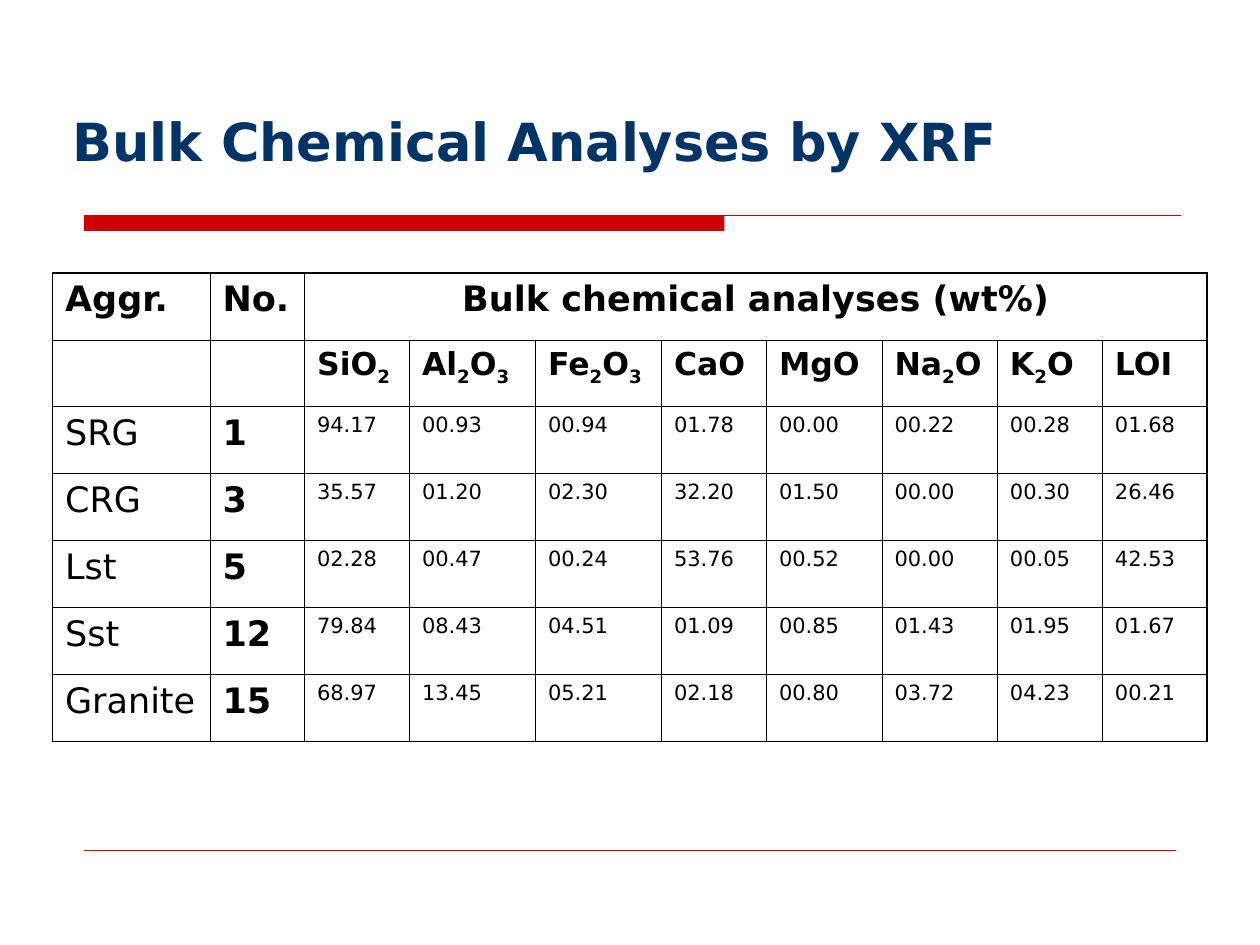
"""Build a slide with a table of bulk chemical analyses by XRF."""
from dataclasses import dataclass
from itertools import groupby

from lxml.etree import SubElement
from pptx import Presentation
from pptx.dml.color import RGBColor
from pptx.enum.shapes import MSO_CONNECTOR, MSO_SHAPE
from pptx.enum.text import MSO_ANCHOR, PP_ALIGN
from pptx.oxml.ns import qn
from pptx.util import Inches, Pt


@dataclass
class Theme:
    font: str = "DejaVu Sans"
    ink: str = "000000"
    navy: str = "003366"
    red: str = "CC0000"
    title: int = 30
    label: int = 20
    oxide: int = 18
    value: int = 12
    thin: float = 0.45
    thick: float = 1.08


def style(font, size, color, bold):
    font.name = theme.font
    font.size = Pt(size)
    font.bold = bold
    font.color.rgb = RGBColor.from_string(color)


def edge(cell, side, width):
    line = SubElement(cell._tc.get_or_add_tcPr(), qn(f"a:ln{side}"), w=str(Pt(width)))
    fill = SubElement(line, qn("a:solidFill"))
    SubElement(fill, qn("a:srgbClr"), val=theme.ink)


theme = Theme()
unit = Inches(1) / 12
deck = Presentation()
deck.slide_width, deck.slide_height = Inches(10), Inches(7.5)
slide = deck.slides.add_slide(deck.slide_layouts[5])
shapes = slide.shapes

title = shapes.title
title.left, title.top, title.width, title.height = (int(n * unit) for n in (5, 2, 110, 15))
frame = title.text_frame
frame.text = "Bulk Chemical Analyses by XRF"
frame.word_wrap = True
frame.vertical_anchor = MSO_ANCHOR.BOTTOM
frame.margin_left = Inches(0.16)
frame.paragraphs[0].alignment = PP_ALIGN.LEFT
style(frame.paragraphs[0].runs[0].font, theme.title, theme.navy, True)

bar = shapes.add_shape(MSO_SHAPE.RECTANGLE, *(int(n * unit) for n in (8, 20.5, 61, 1.5)))
bar.shadow.inherit = False
bar.fill.solid()
bar.fill.fore_color.rgb = RGBColor.from_string(theme.red)
bar.line.fill.background()

for right, row, width in ((112.5, 20.5, 0.75), (112, 81, 0.25)):
    ends = (int(n * unit) for n in (8, row, right, row))
    rule = shapes.add_connector(MSO_CONNECTOR.STRAIGHT, *ends)
    rule.line.color.rgb = RGBColor.from_string(theme.red)
    rule.line.width = Pt(width)
    SubElement(rule._element.spPr, qn("a:effectLst"))

rows = [
    ["Aggr.", "No.", "Bulk chemical analyses (wt%)"] + [""] * 7,
    ["", "", "SiO2", "Al2O3", "Fe2O3", "CaO", "MgO", "Na2O", "K2O", "LOI"],
    ["SRG", "1", "94.17", "00.93", "00.94", "01.78", "00.00", "00.22", "00.28", "01.68"],
    ["CRG", "3", "35.57", "01.20", "02.30", "32.20", "01.50", "00.00", "00.30", "26.46"],
    ["Lst", "5", "02.28", "00.47", "00.24", "53.76", "00.52", "00.00", "00.05", "42.53"],
    ["Sst", "12", "79.84", "08.43", "04.51", "01.09", "00.85", "01.43", "01.95", "01.67"],
    ["Granite", "15", "68.97", "13.45", "05.21", "02.18", "00.80", "03.72", "04.23", "00.21"],
]
widths = [15, 9, 10, 12, 12, 10, 11, 11, 10, 10]
high = Inches(3.72) // len(rows)
place = [int(n * unit) for n in (5, 26, sum(widths))]
table = shapes.add_table(len(rows), len(widths), *place, high * len(rows)).table
table.first_row = table.horz_banding = False
for col, width in zip(table.columns, widths):
    col.width = int(width * unit)
table.cell(0, 2).merge(table.cell(0, len(widths) - 1))

for i, row in enumerate(rows):
    table.rows[i].height = high
    for j, text in enumerate(row):
        cell = table.cell(i, j)
        outer = {"L": j == 0, "R": j == len(widths) - 1, "T": i == 0, "B": i == len(rows) - 1}
        if cell.is_merge_origin:
            outer["R"] = True
        for side, rim in outer.items():
            edge(cell, side, theme.thick if rim else theme.thin)
        cell.fill.background()
        para = cell.text_frame.paragraphs[0]
        para.alignment = PP_ALIGN.CENTER if cell.is_merge_origin else PP_ALIGN.LEFT
        if i == 0 or j < 2:
            size = theme.label
        else:
            size = theme.oxide if i == 1 else theme.value
        for low, part in groupby(text, lambda char: i == 1 and char.isdigit()):
            run = para.add_run()
            run.text = "".join(part)
            style(run.font, size, theme.ink, i < 2 or j == 1)
            if low:
                run._r.get_or_add_rPr().set("baseline", "-25000")

deck.save("out.pptx")
